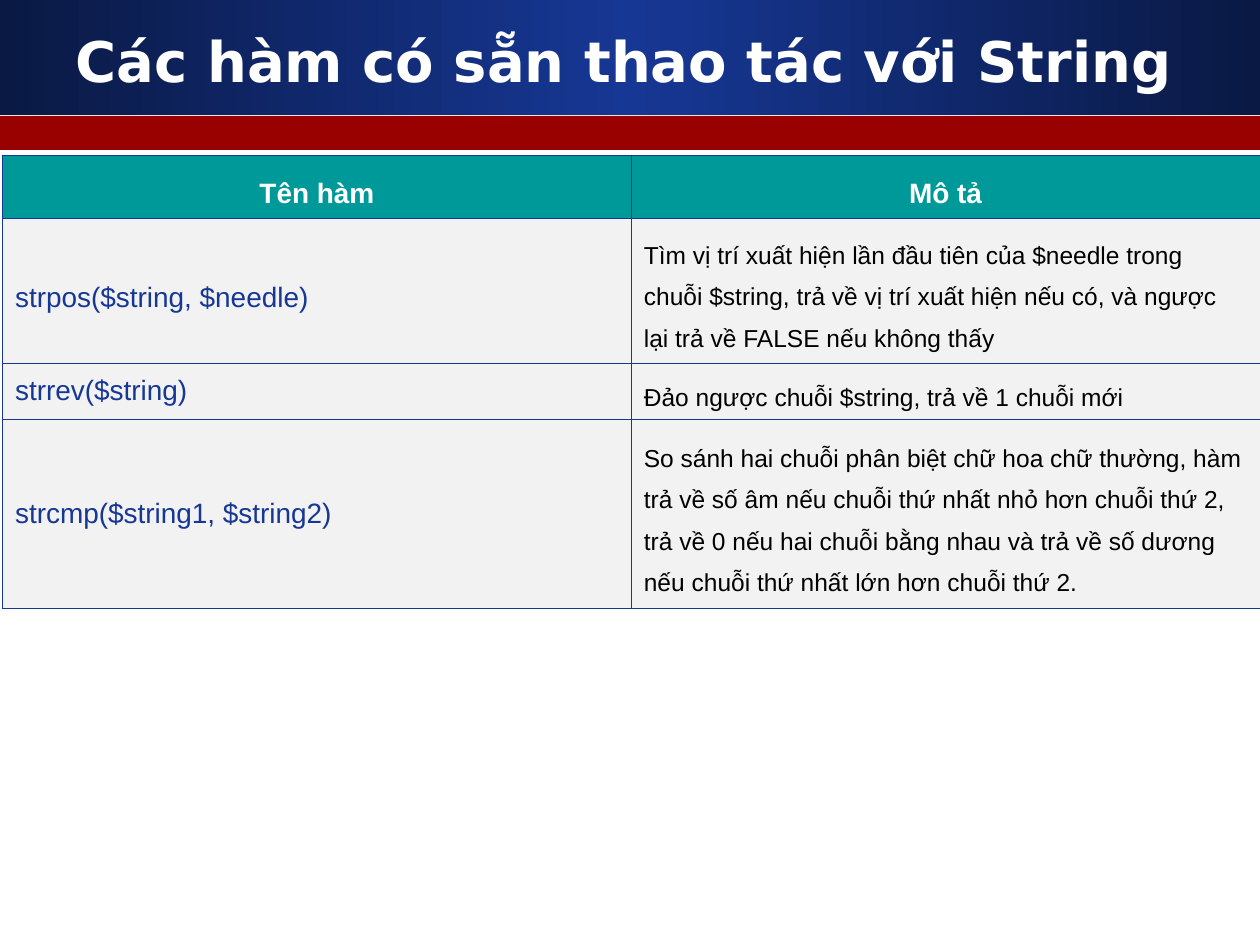
from copy import deepcopy
from dataclasses import dataclass

from lxml import etree
from pptx import Presentation
from pptx import util as u
from pptx.dml.color import RGBColor
from pptx.enum import shapes, text
from pptx.oxml.ns import qn


@dataclass(frozen=True)
class Theme:
    """Colours, fonts and type sizes of the slide."""
    navy: str = "0A1944"
    blue: str = "163794"
    red: str = "990000"
    teal: str = "009999"
    grey: str = "F2F2F2"
    white: str = "FFFFFF"
    black: str = "000000"
    title_font: str = "DejaVu Sans"
    body_font: str = "Arial"
    title_size: int = 32
    name_size: int = 16
    note_size: int = 14
    border: float = 0.45


T = Theme()
W, H = 10, 7.5
HEADER = ("Tên hàm", "Mô tả")
FUNCTIONS = [
    ("strpos($string, $needle)",
     "Tìm vị trí xuất hiện lần đầu tiên của $needle trong chuỗi $string, trả về vị trí "
     "xuất hiện nếu có, và ngược lại trả về FALSE nếu không thấy", 1.15, 1.5),
    ("strrev($string)", "Đảo ngược chuỗi $string, trả về 1 chuỗi mới", 0.45, 1.0),
    ("strcmp($string1, $string2)",
     "So sánh hai chuỗi phân biệt chữ hoa chữ thường, hàm trả về số âm nếu chuỗi thứ nhất "
     "nhỏ hơn chuỗi thứ 2, trả về 0 nếu hai chuỗi bằng nhau và trả về số dương nếu chuỗi "
     "thứ nhất lớn hơn chuỗi thứ 2.", 1.5, 1.0),
]
HEADER_HEIGHT = 0.5


def inches(box):
    """Turn a box in inches into lengths."""
    return [u.Inches(v) for v in box]


def write(tf, content, color, size, font=T.body_font, bold=False,
          align=text.PP_ALIGN.LEFT, spacing=1.0):
    """Put one formatted paragraph into a text frame."""
    p = tf.paragraphs[0]
    for name, value in {"alignment": align, "line_spacing": spacing}.items():
        setattr(p, name, value)
    r = p.add_run()
    r.text = content
    for name, value in {"name": font, "size": u.Pt(size), "bold": bold}.items():
        setattr(r.font, name, value)
    r.font.color.rgb = RGBColor.from_string(color)


def add_band(s, box):
    """Add a borderless, shadowless bar and return it."""
    sp = s.shapes.add_shape(shapes.MSO_SHAPE.RECTANGLE, *inches(box))
    sp.shadow.inherit = False
    sp.line.fill.background()
    return sp


def blend(sp, edge, middle):
    """Fill a shape with a horizontal edge-middle-edge gradient."""
    sp.fill.gradient()
    sp.fill.gradient_angle = 0
    stops = sp._element.spPr.find(".//" + qn("a:gsLst"))
    stops.insert(1, deepcopy(stops[0]))
    for stop, color, place in zip(sp.fill.gradient_stops, (edge, middle, edge), (0, 0.5, 1)):
        stop.color.rgb = RGBColor.from_string(color)
        stop.position = place


def draw_heading(s, box):
    """Draw the two bands and the title inside the heading box."""
    x, y, w, h = box
    blend(add_band(s, (x, y, w, h * 0.765)), T.navy, T.blue)
    strip = add_band(s, (x, y + h * 0.773, w, h * 0.227))
    strip.fill.solid()
    strip.fill.fore_color.rgb = RGBColor.from_string(T.red)
    title = s.shapes.title
    place = inches((x + w * 0.033, y + h * 0.143, w * 0.925, h * 0.521))
    for name, value in zip(("left", "top", "width", "height"), place):
        setattr(title, name, value)
    tf = title.text_frame
    for name, value in {"word_wrap": True, "auto_size": text.MSO_AUTO_SIZE.NONE,
                        "vertical_anchor": text.MSO_ANCHOR.MIDDLE}.items():
        setattr(tf, name, value)
    write(tf, "Các hàm có sẵn thao tác với String", T.white, T.title_size,
          T.title_font, True, text.PP_ALIGN.CENTER)
    s.shapes._spTree.append(title._element)


def style_cell(cell, fill):
    """Give a cell its fill, anchor and four thin borders."""
    cell.vertical_anchor = text.MSO_ANCHOR.MIDDLE
    cell.fill.solid()
    cell.fill.fore_color.rgb = RGBColor.from_string(fill)
    tc_pr = cell._tc.get_or_add_tcPr()
    for i, side in enumerate(("lnL", "lnR", "lnT", "lnB")):
        ln = etree.Element(qn("a:" + side), w=str(int(u.Pt(T.border))))
        solid = etree.SubElement(ln, qn("a:solidFill"))
        etree.SubElement(solid, qn("a:srgbClr"), val=T.blue)
        tc_pr.insert(i, ln)


def draw_table(s, box):
    """Draw the table of functions with two equal columns in the box."""
    tbl = s.shapes.add_table(len(FUNCTIONS) + 1, len(HEADER), *inches(box)).table
    for col in tbl.columns:
        col.width = u.Inches(box[2] / len(HEADER))
    heights = [HEADER_HEIGHT] + [f[2] for f in FUNCTIONS]
    for row, height in zip(tbl.rows, heights):
        row.height = u.Inches(height)
    for i, label in enumerate(HEADER):
        cell = tbl.cell(0, i)
        style_cell(cell, T.teal)
        write(cell.text_frame, label, T.white, T.name_size, bold=True,
              align=text.PP_ALIGN.CENTER, spacing=1.5)
    for i, (name, note, _, spacing) in enumerate(FUNCTIONS, 1):
        left, right = tbl.cell(i, 0), tbl.cell(i, 1)
        for cell in (left, right):
            style_cell(cell, T.grey)
        write(left.text_frame, name, T.blue, T.name_size, spacing=spacing)
        write(right.text_frame, note, T.black, T.note_size, spacing=1.5)


def main():
    """Build the slide and save it."""
    prs = Presentation()
    prs.slide_width, prs.slide_height = u.Inches(W), u.Inches(H)
    s = prs.slides.add_slide(prs.slide_layouts[5])
    draw_heading(s, (0, 0, W, 1.19))
    draw_table(s, (0.02, 1.23, W - 0.02, HEADER_HEIGHT + sum(f[2] for f in FUNCTIONS)))
    prs.save("out.pptx")


if __name__ == "__main__":
    main()
